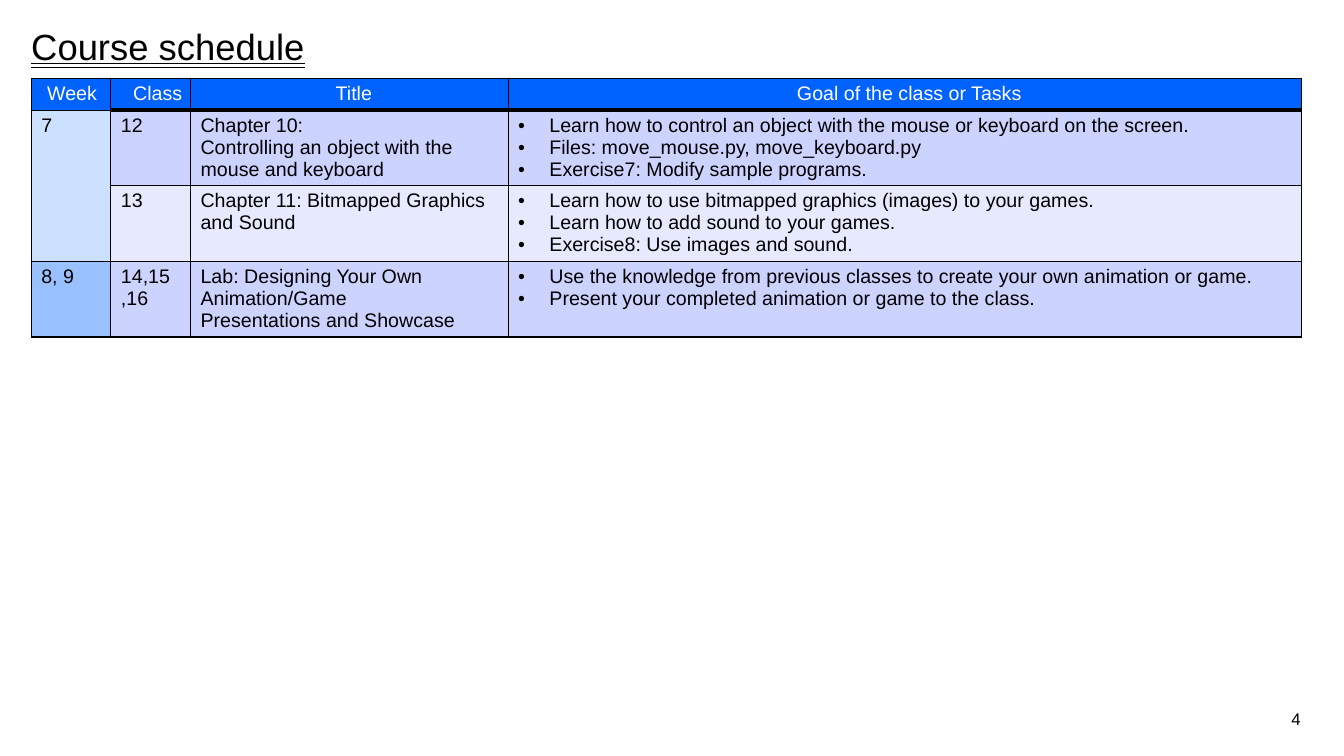
from lxml import etree
from pptx import Presentation
from pptx.dml.color import RGBColor
from pptx.enum.text import MSO_ANCHOR, MSO_UNDERLINE, PP_ALIGN
from pptx.oxml.ns import qn
from pptx.util import Inches, Pt

COLORS = {"black": "000000", "white": "FFFFFF", "header": "0062FF",
          "week": "CCE0FF", "week_alt": "99C0FF",
          "band": "CCD3FF", "band_alt": "E7EAFF"}
COL_WIDTHS = [0.79, 0.79, 3.15, 7.87]
ROW_HEIGHTS = [0.3, 0.75, 0.75, 0.75]
HEADERS = ["Week", "Class", "Title", "Goal of the class or Tasks"]
HEADER_MARGINS = [(0.1, 0.08, 0.04), (0.15, 0.01, 0), (0.1, 0.01, 0), (0.1, 0.01, 0)]
# week, class, title, goals, week fill, row fill
LESSONS = [
    (["7"], ["12"],
     ["Chapter 10:\vControlling an object with the mouse and keyboard"],
     ["Learn how to control an object with the mouse or keyboard on the screen.",
      "Files: move_mouse.py, move_keyboard.py",
      "Exercise7: Modify sample programs."], "week", "band"),
    ([], ["13"],
     ["Chapter 11: Bitmapped Graphics and Sound"],
     ["Learn how to use bitmapped graphics (images) to your games.",
      "Learn how to add sound to your games.",
      "Exercise8: Use images and sound."], "week", "band_alt"),
    (["8, 9"], ["14,15", ",16"],
     ["Lab: Designing Your Own Animation/Game", "Presentations and Showcase"],
     ["Use the knowledge from previous classes to create your own animation or game.",
      "Present your completed animation or game to the class."], "week_alt", "band"),
]


def rgb(name):
    return RGBColor.from_string(COLORS[name])


def write(tf, lines, size, color="black", align=PP_ALIGN.LEFT, **font):
    """Fill a text frame with one paragraph per line."""
    for i, line in enumerate(lines):
        p = tf.paragraphs[0] if i == 0 else tf.add_paragraph()
        p.text = line
        p.alignment = align
        for r in p.runs:
            r.font.color.rgb = rgb(color)
            for key, value in {"name": "Arial", "size": Pt(size), **font}.items():
                setattr(r.font, key, value)


def add_bullets(tf):
    for p in tf.paragraphs:
        pPr = p._p.get_or_add_pPr()
        pPr.set("marL", str(Inches(0.31)))
        pPr.set("indent", str(-Inches(0.31)))
        etree.SubElement(pPr, qn("a:buFont"), typeface="Arial")
        etree.SubElement(pPr, qn("a:buChar"), char="•")


def set_borders(cell, top, bottom):
    """Draw black cell edges; top and bottom are widths in points."""
    tcPr = cell._tc.get_or_add_tcPr()
    for side, width in {"L": 1, "R": 1, "T": top, "B": bottom}.items():
        ln = etree.SubElement(tcPr, qn(f"a:ln{side}"), w=str(Pt(width)))
        fill = etree.SubElement(ln, qn("a:solidFill"))
        etree.SubElement(fill, qn("a:srgbClr"), val=COLORS["black"])


def format_cell(cell, fill, margins=(0.1, 0.01, 0), top=1, bottom=1):
    set_borders(cell, top, bottom)
    cell.fill.solid()
    cell.fill.fore_color.rgb = rgb(fill)
    left, right, below = margins
    for side, value in {"left": left, "right": right, "top": 0.04, "bottom": below}.items():
        setattr(cell, f"margin_{side}", Inches(value))
    cell.vertical_anchor = MSO_ANCHOR.TOP


def add_title(s, text):
    title = s.shapes.title
    for key, value in {"left": 0.31, "top": 0.29, "width": 6.04, "height": 1.17}.items():
        setattr(title, key, Inches(value))
    tf = title.text_frame
    for side in ("left", "right", "top", "bottom"):
        setattr(tf, f"margin_{side}", 0)
    tf.vertical_anchor = MSO_ANCHOR.TOP
    write(tf, [text], 26, underline=MSO_UNDERLINE.DOUBLE_LINE)
    tf.paragraphs[0].line_spacing = 0.9


def add_schedule(s):
    table = s.shapes.add_table(len(ROW_HEIGHTS), len(COL_WIDTHS), Inches(0.31), Inches(0.78),
                               Inches(sum(COL_WIDTHS)), Inches(sum(ROW_HEIGHTS))).table
    table.first_row = table.horz_banding = False
    for column, width in zip(table.columns, COL_WIDTHS):
        column.width = Inches(width)
    for row, height in zip(table.rows, ROW_HEIGHTS):
        row.height = Inches(height)

    rules = [1, 3, 3, 3]  # line under each header
    for c, text in enumerate(HEADERS):
        cell = table.cell(0, c)
        format_cell(cell, "header", HEADER_MARGINS[c], bottom=rules[c])
        write(cell.text_frame, [text], 14, "white", PP_ALIGN.CENTER)
    for r, (*texts, week_fill, row_fill) in enumerate(LESSONS, start=1):
        for c, lines in enumerate(texts):
            cell = table.cell(r, c)
            format_cell(cell, row_fill if c else week_fill, top=rules[c] if r == 1 else 1)
            write(cell.text_frame, lines, 14)
        add_bullets(cell.text_frame)
    table.cell(1, 0).merge(table.cell(2, 0))


def add_page_number(s, number):
    box = s.shapes.add_textbox(Inches(10.33), Inches(6.98), Inches(2.67), Inches(0.24))
    box.text_frame.word_wrap = True
    write(box.text_frame, [number], 12, align=PP_ALIGN.RIGHT)


def main():
    prs = Presentation()
    prs.slide_width, prs.slide_height = Inches(13.33), Inches(7.5)
    s = prs.slides.add_slide(prs.slide_layouts[5])
    add_title(s, "Course schedule")
    add_page_number(s, "4")
    add_schedule(s)
    prs.save("out.pptx")


if __name__ == "__main__":
    main()
